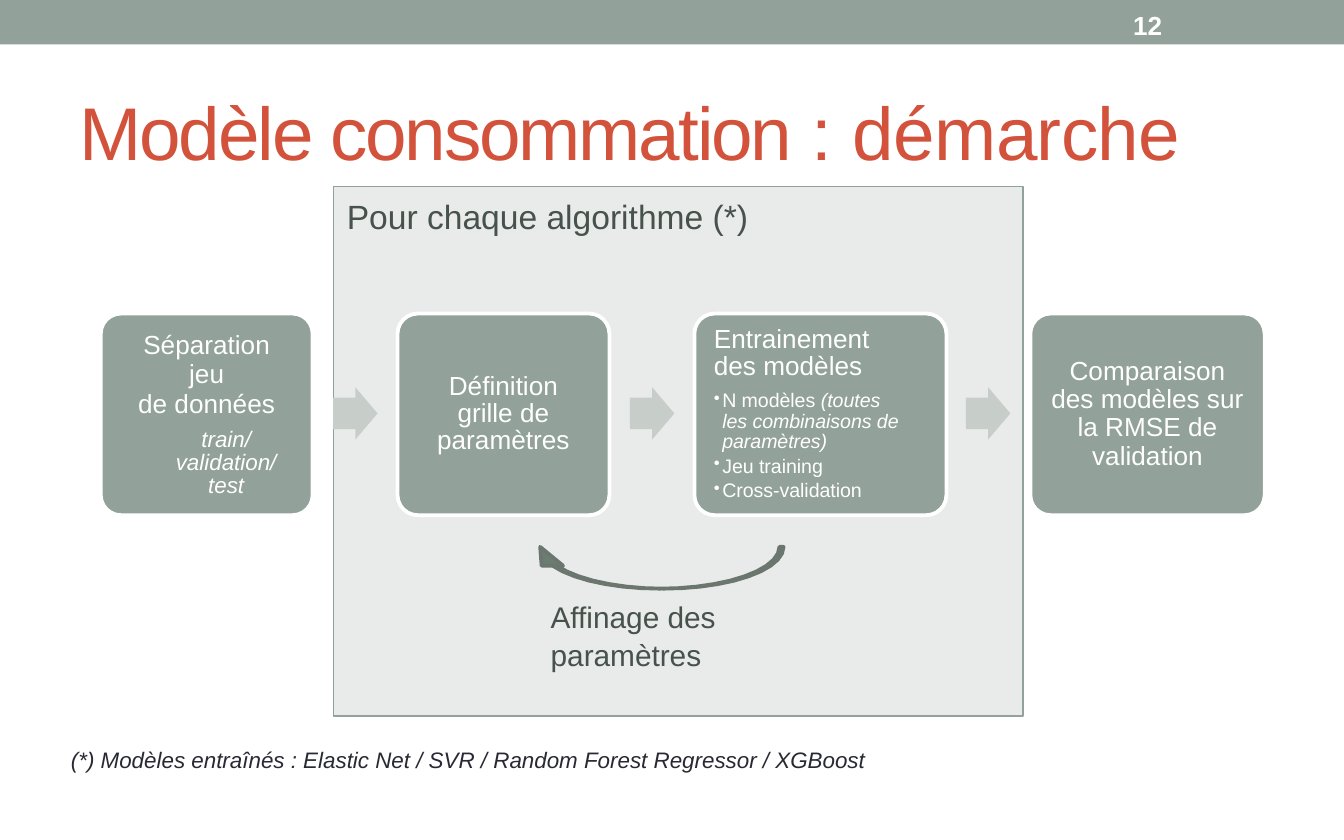
from math import cos, radians, sin

from lxml.etree import SubElement
from pptx import Presentation
from pptx.dml.color import RGBColor
from pptx.enum.shapes import MSO_SHAPE as Shape
from pptx.enum.text import MSO_ANCHOR as Anchor, PP_ALIGN as Align
from pptx.oxml.ns import qn
from pptx.util import Pt

SAGE = RGBColor(0x92, 0xA1, 0x99)
PALE = RGBColor(0xE9, 0xEB, 0xEB)
MIST = RGBColor(0xC7, 0xCE, 0xC9)
MOSS = RGBColor(0x6B, 0x7C, 0x71)
MOSS_EDGE = RGBColor(0x6B, 0x76, 0x6E)
SLATE = RGBColor(0x46, 0x52, 0x4B)
RUST = RGBColor(0xD2, 0x52, 0x3B)
INK = RGBColor(0x29, 0x29, 0x34)
WHITE = RGBColor(0xFF, 0xFF, 0xFF)

STEP_TOP, STEP_HEIGHT = 168, 108
ARROW_WIDTH, ARROW_HEIGHT, ARROW_LEAD = 23.8, 28, 34.5


def paint(shape, fill, line=None, width=0.75):
    """Give a shape a flat fill and an optional outline."""
    shape.shadow.inherit = False
    shape.fill.solid()
    shape.fill.fore_color.rgb = fill
    if line is None:
        shape.line.fill.background()
    else:
        shape.line.color.rgb = line
        shape.line.width = Pt(width)


def prepare(frame, anchor, left=0, right=0):
    """Set wrapping, anchor and side insets of a text frame."""
    frame.word_wrap = True
    frame.vertical_anchor = anchor
    frame.margin_left, frame.margin_right = Pt(left), Pt(right)
    frame.margin_top = frame.margin_bottom = 0


def add_run(paragraph, text, size, color, bold=False, italic=False, tracking=0):
    """Append one formatted run to a paragraph."""
    run = paragraph.add_run()
    run.text = text
    font = run.font
    font.name, font.size, font.bold, font.italic = "Arial", Pt(size), bold, italic
    font.color.rgb = color
    if tracking:
        run._r.get_or_add_rPr().set("spc", str(round(tracking * 100)))


def next_paragraph(frame, align=Align.LEFT, spacing=1.05, before=0, indent=0):
    """Return the first empty paragraph or a new one, with its spacing set."""
    first = frame.paragraphs[0]
    paragraph = frame.add_paragraph() if first.runs else first
    paragraph.alignment = align
    paragraph.line_spacing = spacing
    paragraph.space_before = Pt(before)
    if indent:
        paragraph._p.get_or_add_pPr().set("marL", str(Pt(indent)))
    return paragraph


def add_bullet(paragraph, hang):
    """Give a paragraph a small white hanging bullet."""
    properties = paragraph._p.get_or_add_pPr()
    properties.set("marL", str(Pt(hang)))
    properties.set("indent", str(-Pt(hang)))
    color = SubElement(properties, qn("a:buClr"))
    SubElement(color, qn("a:srgbClr")).set("val", str(WHITE))
    SubElement(properties, qn("a:buSzPct")).set("val", "90000")
    SubElement(properties, qn("a:buChar")).set("char", "•")


def add_label(slide, box, text, size, color, **style):
    """Place a one-run text box."""
    label = slide.shapes.add_textbox(*map(Pt, box))
    prepare(label.text_frame, Anchor.TOP)
    add_run(next_paragraph(label.text_frame), text, size, color, **style)


def add_block(slide, kind, box, fill, line=None, width=0.75):
    """Place a painted preset shape."""
    block = slide.shapes.add_shape(kind, *map(Pt, box))
    paint(block, fill, line, width)
    return block


def add_step(slide, left, width, left_inset, right_inset):
    """Place a process step and return its text frame."""
    box = (left, STEP_TOP, width, STEP_HEIGHT)
    step = add_block(slide, Shape.ROUNDED_RECTANGLE, box, SAGE, WHITE, 2)
    step.adjustments[0] = 0.1
    prepare(step.text_frame, Anchor.MIDDLE, left_inset, right_inset)
    return step.text_frame


def add_arrow_before(slide, step_left):
    """Place the arrow that leads into a step."""
    top = STEP_TOP + (STEP_HEIGHT - ARROW_HEIGHT) / 2 - 0.5
    box = (step_left - ARROW_LEAD, top, ARROW_WIDTH, ARROW_HEIGHT)
    arrow = add_block(slide, Shape.RIGHT_ARROW, box, MIST)
    arrow.adjustments[0] = 0.6


def arc(center, angles):
    """Return points of the lower half-ellipse of the loop arrow."""
    return [(center + 64.2 * cos(radians(a)), 293 + 22.4 * sin(radians(a))) for a in angles]


def add_loop_arrow(slide):
    """Draw the curved arrow going back to the parameter grid."""
    head = [(301.7, 303.1), (289.4, 293), (290.2, 303.1)]
    points = arc(355.6, range(0, 154, 9)) + head + arc(353.4, range(153, -1, -9))
    outline = [(Pt(x), Pt(y)) for x, y in points]
    builder = slide.shapes.build_freeform(*outline[0])
    builder.add_line_segments(outline[1:], close=True)
    paint(builder.convert_to_shape(), MOSS, MOSS_EDGE, 2)


def add_title(slide):
    """Place and format the slide title."""
    title = slide.shapes.title
    title.left, title.top, title.width, title.height = map(Pt, (42.5, 43.5, 610, 74))
    prepare(title.text_frame, Anchor.TOP)
    paragraph = next_paragraph(title.text_frame)
    for text, tracking in (("Modèle consommation ", -1.1), (": ", 0), ("démarche", -0.3)):
        add_run(paragraph, text, 40, RUST, tracking=tracking)


def fill_split(frame):
    """Write the data split step."""
    for text in ("Séparation jeu", "de données"):
        add_run(next_paragraph(frame, Align.CENTER, Pt(15.7)), text, 14, WHITE)
    subsets = next_paragraph(frame, Align.CENTER, 0.86, 5.6, 21)
    add_run(subsets, "train/ validation/ test", 12, WHITE, italic=True)


def fill_training(frame):
    """Write the model training step."""
    heading = next_paragraph(frame, spacing=Pt(14.5))
    add_run(heading, "Entrainement des modèles", 14, WHITE)
    details = (
        ("N modèles ", "(toutes les combinaisons de paramètres)", 0.86, 5.7),
        ("Jeu training", "", 1.05, 0),
        ("Cross-validation", "", 1.05, 0),
    )
    for text, remark, spacing, before in details:
        item = next_paragraph(frame, spacing=spacing, before=before)
        add_bullet(item, 4.5)
        add_run(item, text, 10.5, WHITE)
        if remark:
            add_run(item, remark, 10.5, WHITE, italic=True)


def main():
    """Build the slide and save it."""
    deck = Presentation()
    deck.slide_width, deck.slide_height = Pt(720), Pt(450)
    slide = deck.slides.add_slide(deck.slide_layouts[5])

    add_block(slide, Shape.RECTANGLE, (0, 0, 720, 23.8), SAGE)
    add_label(slide, (607, 4, 20, 17), "12", 14, WHITE, bold=True)
    add_title(slide)
    add_block(slide, Shape.RECTANGLE, (178.6, 100, 369.4, 283.7), PALE, SAGE)

    grid_left, training_left, comparison_left = 213, 372, 552
    for step_left in (grid_left, training_left, comparison_left):
        add_arrow_before(slide, step_left)

    fill_split(add_step(slide, 54, 113.5, 10, 10))
    grid = next_paragraph(add_step(slide, grid_left, 113.5, 9, 9), Align.CENTER, Pt(14.5))
    add_run(grid, "Définition grille de paramètres", 14, WHITE)
    fill_training(add_step(slide, training_left, 135, 7.3, 16))
    comparison = next_paragraph(add_step(slide, comparison_left, 125.5, 6, 6), Align.CENTER, 0.9)
    add_run(comparison, "Comparaison des modèles sur la RMSE de validation", 14, WHITE)

    add_loop_arrow(slide)
    add_label(slide, (295, 320, 112, 40), "Affinage des paramètres", 16, SLATE)
    add_label(slide, (185.8, 104, 230, 22), "Pour chaque algorithme (*)", 18, SLATE)
    models = "(*) Modèles entraînés : Elastic Net / SVR / Random Forest Regressor / XGBoost"
    add_label(slide, (38, 399, 440, 20), models, 12, INK, italic=True)
    deck.save("out.pptx")


if __name__ == "__main__":
    main()
